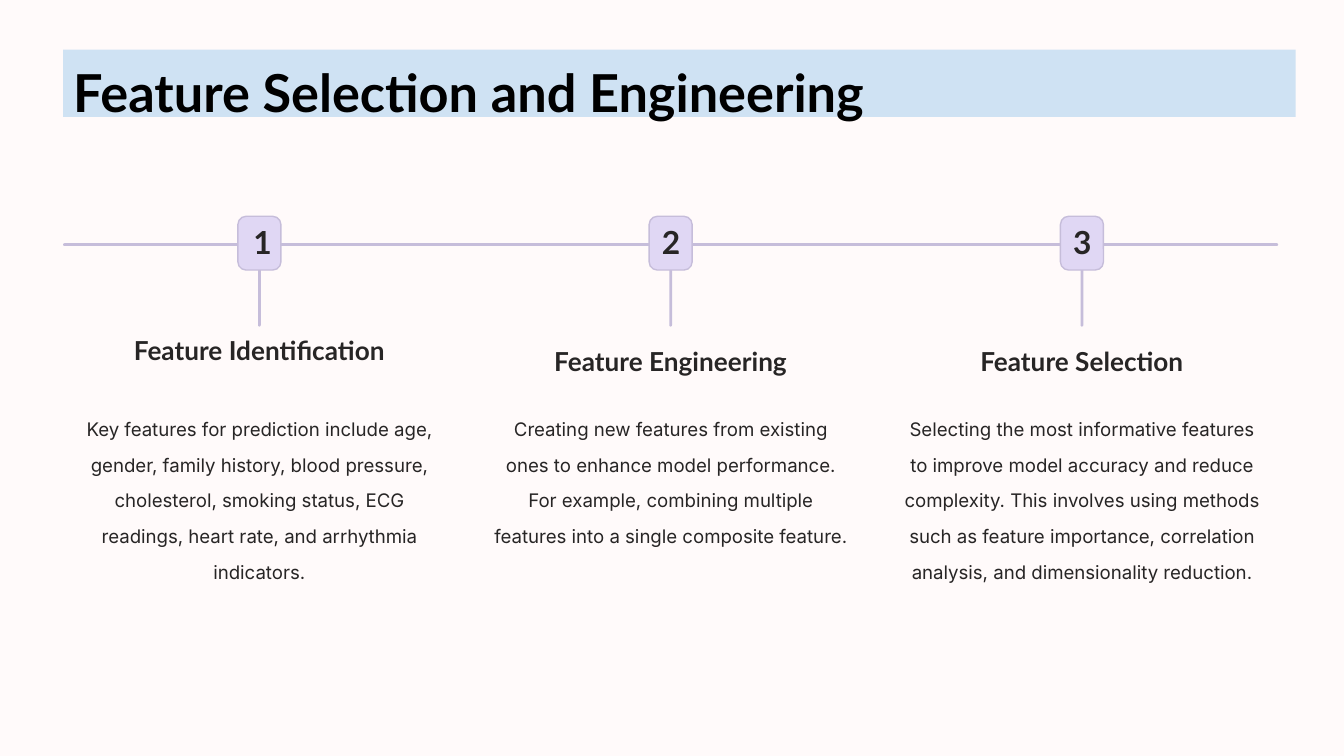
import pptx
import pptx.dml.color
import pptx.enum.shapes
import pptx.enum.text
import pptx.util

COLUMNS = 100
INK = "272525"
LILAC = "E0D7F4"
RULE = "C6BDDA"
STEP_PITCH = 30.6
STEPS = [
    ("1", 0.9, 8.2, 11.3, "Feature Identification",
     "Key features for prediction include age, gender, family history, blood pressure, "
     "cholesterol, smoking status, ECG readings, heart rate, and arrhythmia indicators."),
    ("2", 1.3, 9, 11.3, "Feature Engineering",
     "Creating new features from existing ones to enhance model performance. "
     "For example, combining multiple features into a single composite feature."),
    ("3", 1.3, 9, 14.1, "Feature Selection",
     "Selecting the most informative features to improve model accuracy and reduce "
     "complexity. This involves using methods such as feature importance, "
     "correlation analysis, and dimensionality reduction."),
]

deck = pptx.Presentation()
deck.slide_width = pptx.util.Inches(10)
deck.slide_height = int(deck.slide_width * 9 / 16)
CELL = deck.slide_width / COLUMNS


def color(code):
    return pptx.dml.color.RGBColor.from_string(code)


def cells(*counts):
    return [round(count * CELL) for count in counts]


def add_block(page, box, fill, line=None, rounding=None):
    kinds = pptx.enum.shapes.MSO_SHAPE
    kind = kinds.RECTANGLE if rounding is None else kinds.ROUNDED_RECTANGLE
    block = page.shapes.add_shape(kind, *cells(*box))
    block.shadow.inherit = False
    block.fill.solid()
    block.fill.fore_color.rgb = color(fill)
    if rounding is not None:
        block.adjustments[0] = rounding
    if line:
        block.line.color.rgb = color(line)
        block.line.width = pptx.util.Pt(0.75)
    else:
        block.line.fill.background()
    return block


def write(shape, text, size, font="Lato", ink=INK, bold=True, align="CENTER",
          anchor="TOP", spacing=1, indent=0):
    frame = shape.text_frame
    frame.word_wrap = True
    frame.margin_left, = cells(indent)
    frame.margin_right = frame.margin_top = frame.margin_bottom = 0
    frame.vertical_anchor = getattr(pptx.enum.text.MSO_ANCHOR, anchor)
    para = frame.paragraphs[0]
    para.alignment = getattr(pptx.enum.text.PP_ALIGN, align)
    para.line_spacing = spacing
    span = para.add_run()
    span.text = text
    span.font.name = font
    span.font.size = pptx.util.Pt(size)
    span.font.bold = bold
    span.font.color.rgb = color(ink)


def add_text(page, box, text, size, **style):
    write(page.shapes.add_textbox(*cells(*box)), text, size, **style)


def add_title(page, box):
    banner = add_block(page, box, "CFE2F3")
    write(banner, "Feature Selection and Engineering", 28, ink="000000",
          align="LEFT", anchor="MIDDLE", spacing=1.25, indent=0.75)


def add_step(page, box, step):
    number, number_width, heading_row, body_height, heading, body = step
    left, top, width, height = box
    middle = left + width / 2

    def centered(row, part_width, part_height):
        return middle - part_width / 2, top + row, part_width, part_height

    add_block(page, centered(2, 0.2, 6.2), RULE, rounding=0.5)
    add_block(page, centered(0, 3.2, 4), LILAC, line=RULE, rounding=0.19)
    add_text(page, centered(0.5, number_width, 2.9), number, 17)
    add_text(page, centered(heading_row, 19.3, 3), heading, 14, spacing=1.25)
    add_text(page, centered(14, width, body_height), body, 10,
             font="Inter", bold=False, spacing=1.59)


def add_timeline(page, box):
    left, top, width, height = box
    add_block(page, (left, top + 2, width, 0.2), RULE, rounding=0.5)
    for index, step in enumerate(STEPS):
        add_step(page, (left + 1.4 + index * STEP_PITCH, top, 26.4, height), step)


page = deck.slides.add_slide(deck.slide_layouts[6])
page.background.fill.solid()
page.background.fill.fore_color.rgb = color("FFFAFA")
add_title(page, (4.7, 3.7, 91.7, 5))
add_timeline(page, (4.7, 16.1, 90.4, 28.1))
deck.save("out.pptx")
